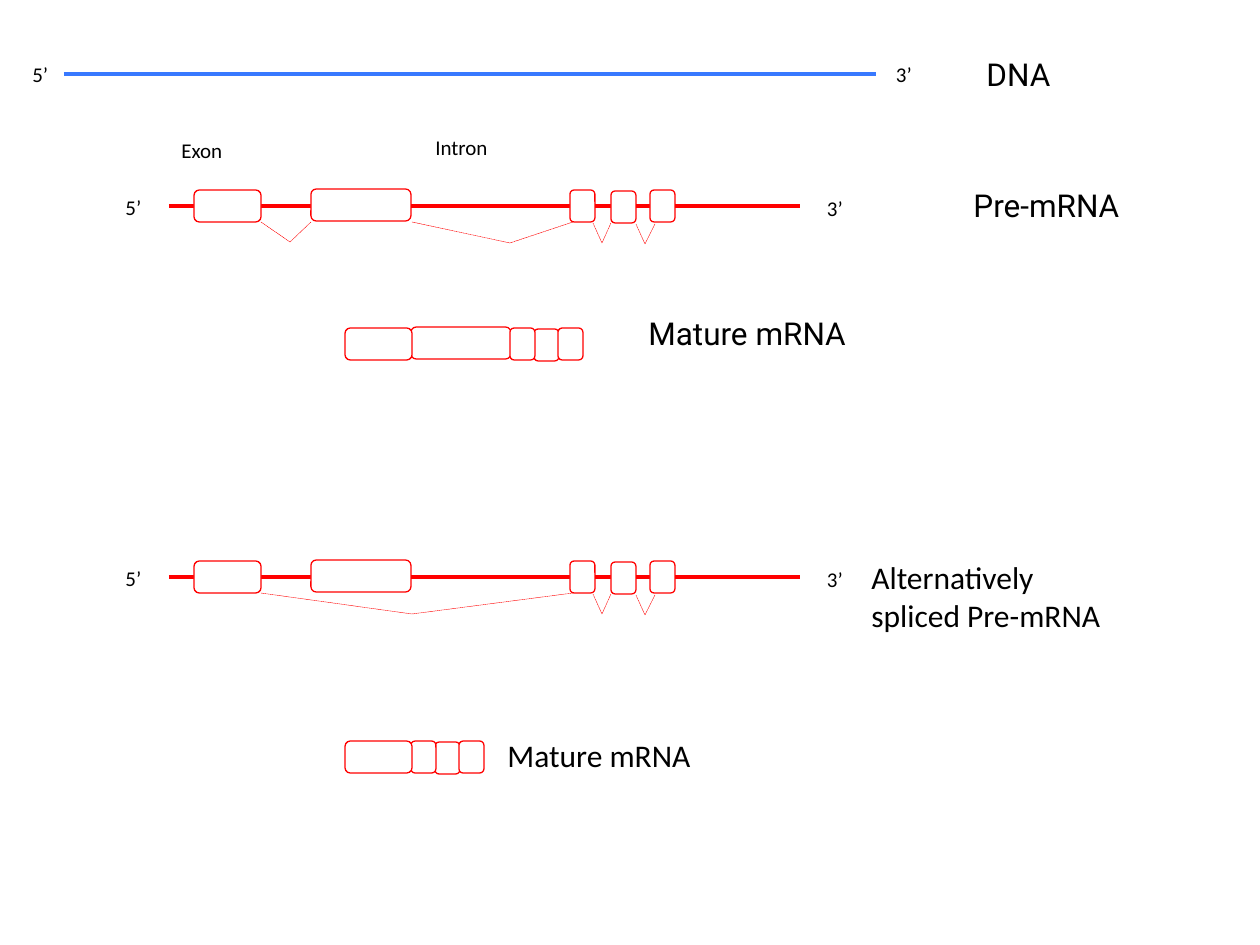
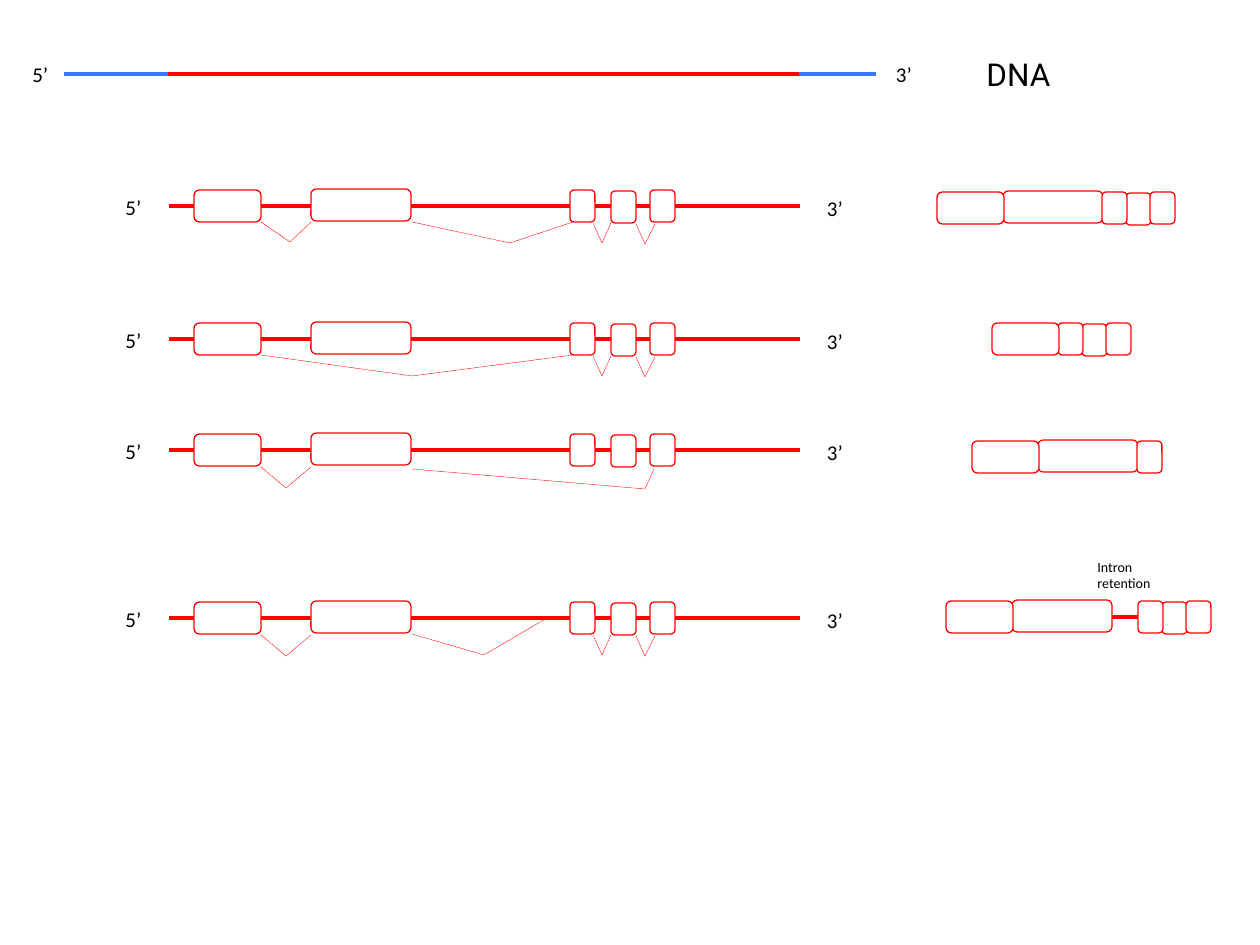
from pptx import Presentation, util as u
from pptx.dml.color import RGBColor
from pptx.enum import dml, shapes, text
from pptx.oxml.ns import qn
from lxml import etree

THEME = {
    "red": RGBColor.from_string("FF0000"),
    "blue": RGBColor.from_string("3879FF"),
    "white": RGBColor.from_string("FFFFFF"),
    "black": RGBColor.from_string("000000"),
    "strand": 2, "outline": 0.75, "splice": 0.25,
    "end": {"size": 12, "name": "Calibri"},
    "part": {"size": 12, "name": "Calibri"},
    "title": {"size": 18, "name": "Roboto"},
    "heading": {"size": 18, "name": "Calibri"},
    "note": {"size": 8, "name": "Calibri"},
}
PX = 914400 / 126
EXON_H = 32

EXONS = {
    2: {"x": 311, "rise": 17, "w": 100},
    4: {"x": 611, "rise": 15, "w": 25},
    5: {"x": 650, "rise": 16, "w": 25},
    3: {"x": 570, "rise": 16, "w": 25},
    1: {"x": 194, "rise": 16, "w": 67},
}
RETAINED, RETAINED_W = "intron", 28

JOIN_12 = [(261, 16), (290, 36), (311, 16)]
JOIN_12_EARLY = [(261, 17), (286, 38), (311, 17)]
JOIN_23 = [(412, 16), (510, 37), (573, 16)]
JOIN_13 = [(261, 16), (412, 37), (573, 16)]
JOIN_25 = [(412, 19), (645, 39), (654, 19)]
JOIN_2_INTRON = [(412, 16), (484, 37), (547, 0)]
JOIN_34 = [(593, 17), (602, 37), (611, 17)]
JOIN_45 = [(636, 18), (645, 38), (655, 18)]

FULL = [JOIN_12, JOIN_23, JOIN_34, JOIN_45]
SKIP_2 = [JOIN_13, JOIN_34, JOIN_45]
SKIP_34 = [JOIN_12_EARLY, JOIN_25]
KEEP_INTRON = [JOIN_12_EARLY, JOIN_2_INTRON, JOIN_34, JOIN_45]

DNA_LABEL = ("DNA", "title", 974, 49, 160, 50)
SLIDES = [
    {
        "transcripts": [(206, FULL), (577, SKIP_2)],
        "products": [(345, 344, [1, 2, 3, 4, 5]), (345, 757, [1, 3, 4, 5])],
        "labels": [
            DNA_LABEL,
            ("Exon", "part", 169, 131, 188, 38),
            ("Intron", "part", 423, 128, 188, 38),
            ("Pre-mRNA", "title", 961, 180, 183, 50),
            ("Mature mRNA", "title", 636, 308, 485, 50),
            ("Alternatively spliced Pre-mRNA", "heading", 859, 552, 262, 89),
            ("Mature mRNA", "heading", 495, 730, 485, 50),
        ],
        "gene": None,
    },
    {
        "transcripts": [(206, FULL), (339, SKIP_2), (450, SKIP_34),
                        (618, KEEP_INTRON)],
        "products": [(937, 208, [1, 2, 3, 4, 5]), (992, 339, [1, 3, 4, 5]),
                     (972, 457, [1, 2, 5]),
                     (946, 617, [1, 2, RETAINED, 3, 4, 5])],
        "labels": [
            DNA_LABEL,
            ("Intron retention", "note", 1085, 552, 84, 47),
        ],
        "gene": (168, 799),
    },
]
DNA_Y, DNA_SPAN = 74, (64, 876)
RNA_SPAN = (169, 800)


def px(*lengths):
    return [u.Emu(round(n * PX)) for n in lengths]


def add_line(s, start, end, color, width, dash=None):
    c = s.shapes.add_connector(shapes.MSO_CONNECTOR.STRAIGHT, *px(*start, *end))
    c.line.color.rgb = THEME[color]
    c.line.width = u.Pt(THEME[width])
    if dash:
        c.line.dash_style = dash
    etree.SubElement(c._element.spPr, qn("a:effectLst"))


def add_strand(s, span, y, color):
    add_line(s, (span[0], y), (span[1], y), color, "strand")


def add_label(s, words, style, x, y, w, h, align=text.PP_ALIGN.LEFT):
    tf = s.shapes.add_textbox(*px(x, y, w, h)).text_frame
    frame = {"word_wrap": True, "auto_size": text.MSO_AUTO_SIZE.SHAPE_TO_FIT_TEXT}
    for key, value in frame.items():
        setattr(tf, key, value)
    p = tf.paragraphs[0]
    p.alignment = align
    r = p.add_run()
    r.text = words
    font = {**THEME[style], "size": u.Pt(THEME[style]["size"])}
    for key, value in font.items():
        setattr(r.font, key, value)
    r.font.color.rgb = THEME["black"]


def add_ends(s, left, right, y):
    add_label(s, "5’ ", "end", *left, 38)
    x, w = right
    add_label(s, "3’ ", "end", x, y, w, 38, text.PP_ALIGN.RIGHT)


def add_exon(s, number, x, y):
    exon = EXONS[number]
    sp = s.shapes.add_shape(shapes.MSO_SHAPE.ROUNDED_RECTANGLE,
                            *px(x, y - exon["rise"], exon["w"], EXON_H))
    sp.shadow.inherit = False
    sp.fill.solid()
    sp.fill.fore_color.rgb = THEME["white"]
    sp.line.color.rgb = THEME["red"]
    sp.line.width = u.Pt(THEME["outline"])


def add_transcript(s, y, joins):
    add_strand(s, RNA_SPAN, y, "red")
    for number, exon in EXONS.items():
        add_exon(s, number, exon["x"], y)
    add_ends(s, (113, y - 18, 43), (672, 188), y - 17)
    for join in joins:
        start, peak, end = [(x, y + drop) for x, drop in join]
        for foot in (start, end):
            add_line(s, foot, peak, "red", "splice", dml.MSO_LINE.SQUARE_DOT)


def add_product(s, x, y, parts):
    lefts = {}
    for part in parts:
        lefts[part] = x
        x += (RETAINED_W if part == RETAINED else EXONS[part]["w"]) - 1
    if RETAINED in lefts:
        add_strand(s, (lefts[1] + 47, lefts[3] + 31), y, "red")
    for number in EXONS:
        if number in lefts:
            add_exon(s, number, lefts[number], y)


prs = Presentation()
prs.slide_width, prs.slide_height = px(1260, 945)
for content in SLIDES:
    s = prs.slides.add_slide(prs.slide_layouts[6])
    add_strand(s, DNA_SPAN, DNA_Y, "blue")
    add_ends(s, (20, 55, 188), (741, 188), 55)
    for y, joins in content["transcripts"]:
        add_transcript(s, y, joins)
    for product in content["products"]:
        add_product(s, *product)
    for label in content["labels"]:
        add_label(s, *label)
    if content["gene"]:
        add_strand(s, content["gene"], DNA_Y, "red")
prs.save("out.pptx")
